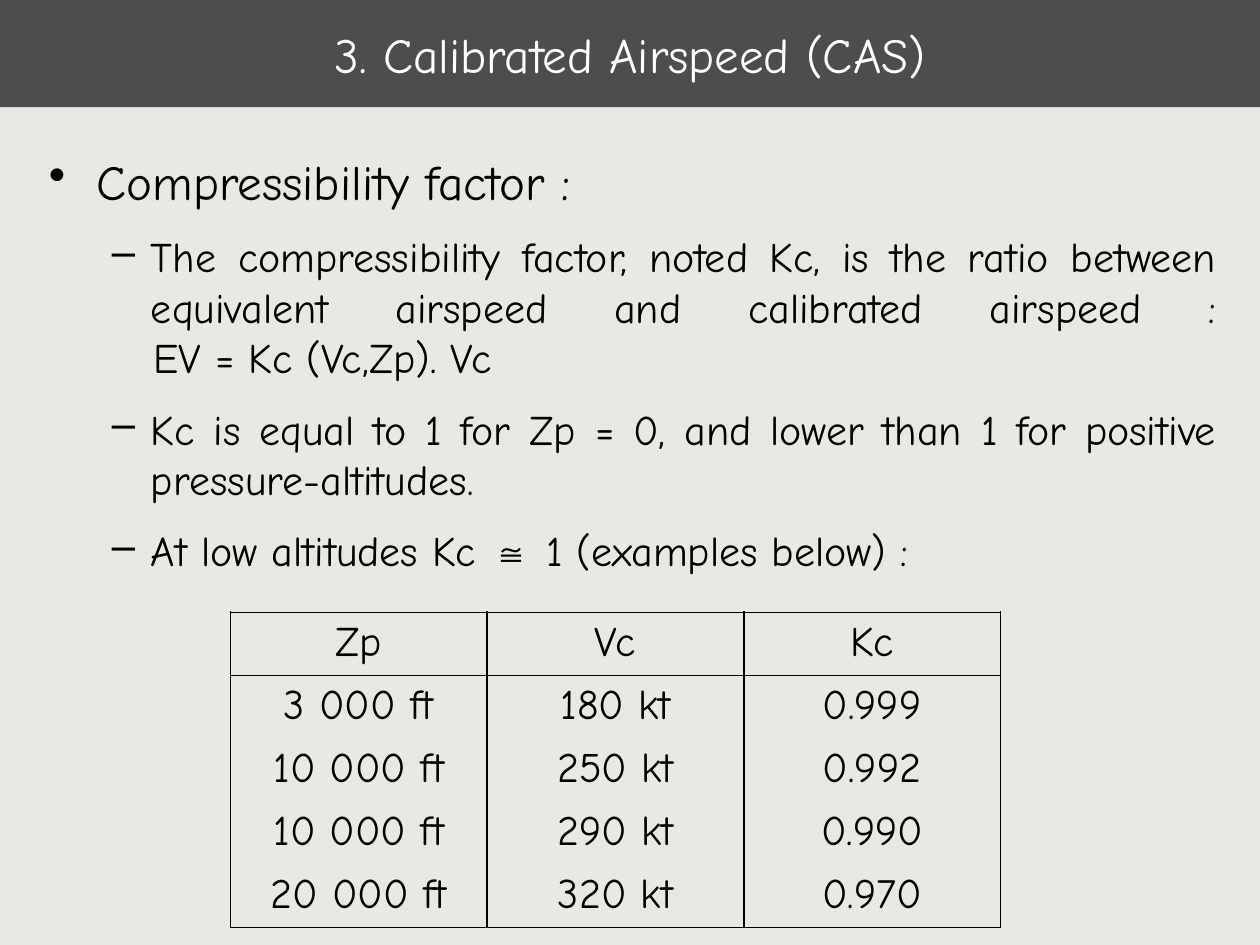
from lxml import etree
from pptx import Presentation
from pptx.dml.color import RGBColor
from pptx.enum.shapes import MSO_SHAPE
from pptx.enum.text import MSO_ANCHOR, PP_ALIGN
from pptx.oxml.ns import qn
from pptx.util import Inches, Pt

RECTANGLE = MSO_SHAPE.RECTANGLE
MIDDLE = MSO_ANCHOR.MIDDLE
CENTER = PP_ALIGN.CENTER
JUSTIFY = PP_ALIGN.JUSTIFY

COLORS = {"background": "E8E8E4", "banner": "4D4D4D", "title": "FFFFFF", "text": "000000"}
FONT = "Comic Neue"
SYMBOL_FONT = "Arial"
TAB_STOP = Inches(0.83)
BORDER_WIDTH = Pt(1.08)

# Each point is a list of (text, font) runs; None keeps the paragraph font
POINTS = [
    [("The compressibility factor, noted Kc, is the ratio between equivalent airspeed "
      "and calibrated airspeed :\v\tEV = Kc (Vc,Zp). Vc", None)],
    [("Kc is equal to 1 for Zp = 0, and lower than 1 for positive pressure-altitudes.", None)],
    [("At low altitudes Kc ", None), ("≅", SYMBOL_FONT), (" 1 (examples below) :", None)],
]
ROWS = [
    ("Zp", "Vc", "Kc"),
    ("3 000 ft", "180 kt", "0.999"),
    ("10 000 ft", "250 kt", "0.992"),
    ("10 000 ft", "290 kt", "0.990"),
    ("20 000 ft", "320 kt", "0.970"),
]


def color(name):
    return RGBColor.from_string(COLORS[name])


def style(paragraph, size, color_name, alignment):
    paragraph.alignment = alignment
    paragraph.font.name = FONT
    paragraph.font.size = Pt(size)
    paragraph.font.color.rgb = color(color_name)


def add_bullet(paragraph, character, margin, hanging):
    properties = paragraph._p.get_or_add_pPr()
    properties.set("marL", str(margin))
    properties.set("indent", str(-hanging))
    bullet_color = etree.SubElement(properties, qn("a:buClr"))
    etree.SubElement(bullet_color, qn("a:srgbClr"), val=COLORS["text"])
    etree.SubElement(properties, qn("a:buChar"), char=character)
    tabs = etree.SubElement(properties, qn("a:tabLst"))
    etree.SubElement(tabs, qn("a:tab"), pos=str(TAB_STOP), algn="l")


def add_banner(slide, left, top, width, height):
    banner = slide.shapes.add_shape(RECTANGLE, left, top, width, height)
    banner.shadow.inherit = False
    banner.fill.solid()
    banner.fill.fore_color.rgb = color("banner")
    banner.line.fill.background()
    banner.text_frame.vertical_anchor = MIDDLE
    paragraph = banner.text_frame.paragraphs[0]
    paragraph.text = "3. Calibrated Airspeed (CAS)"
    style(paragraph, 28, "title", CENTER)


def add_body(slide, left, top, width, height):
    frame = slide.shapes.add_textbox(left, top, width, height).text_frame
    frame.word_wrap = True
    heading = frame.paragraphs[0]
    heading.text = "Compressibility factor :"
    add_bullet(heading, "•", Inches(0.38), Inches(0.38))
    style(heading, 28, "text", JUSTIFY)

    for runs in POINTS:
        paragraph = frame.add_paragraph()
        paragraph.level = 1
        paragraph.space_before = Pt(12)
        add_bullet(paragraph, "–", Inches(0.81), Inches(0.31))
        style(paragraph, 24, "text", JUSTIFY)
        for text, font_name in runs:
            first, *other_lines = text.split("\v")
            paragraph.add_run().text = first
            for line in other_lines:
                paragraph.add_line_break()
                paragraph.add_run().text = line
            if font_name:
                paragraph.runs[-1].font.name = font_name


def set_borders(cell, visible_sides):
    properties = cell._tc.get_or_add_tcPr()
    for side in "LRTB":
        line = etree.SubElement(properties, qn(f"a:ln{side}"), w=str(BORDER_WIDTH))
        if side in visible_sides:
            fill = etree.SubElement(line, qn("a:solidFill"))
            etree.SubElement(fill, qn("a:srgbClr"), val=COLORS["text"])
        else:
            etree.SubElement(line, qn("a:noFill"))


def add_factor_table(slide, left, top, width, height):
    table = slide.shapes.add_table(len(ROWS), len(ROWS[0]), left, top, width, height).table
    table.first_row = False
    table.horz_banding = False
    # Horizontal rules only around the header and below the last row
    sides_by_row = ["LRTB", "LRT"] + ["LR"] * (len(ROWS) - 3) + ["LRB"]
    for row_index, (values, sides) in enumerate(zip(ROWS, sides_by_row)):
        for column_index, value in enumerate(values):
            cell = table.cell(row_index, column_index)
            set_borders(cell, sides)
            cell.fill.background()
            paragraph = cell.text_frame.paragraphs[0]
            paragraph.text = value
            style(paragraph, 24, "text", CENTER)


def main():
    presentation = Presentation()
    presentation.slide_width = Inches(10)
    presentation.slide_height = Inches(7.5)
    slide = presentation.slides.add_slide(presentation.slide_layouts[6])
    slide.background.fill.solid()
    slide.background.fill.fore_color.rgb = color("background")

    add_banner(slide, Inches(0), Inches(0), Inches(10), Inches(0.85))
    add_body(slide, Inches(0.29), Inches(1.15), Inches(9.46), Inches(5.93))
    add_factor_table(slide, Inches(1.83), Inches(4.86), Inches(6.11), Inches(2.5))
    presentation.save("out.pptx")


if __name__ == "__main__":
    main()
